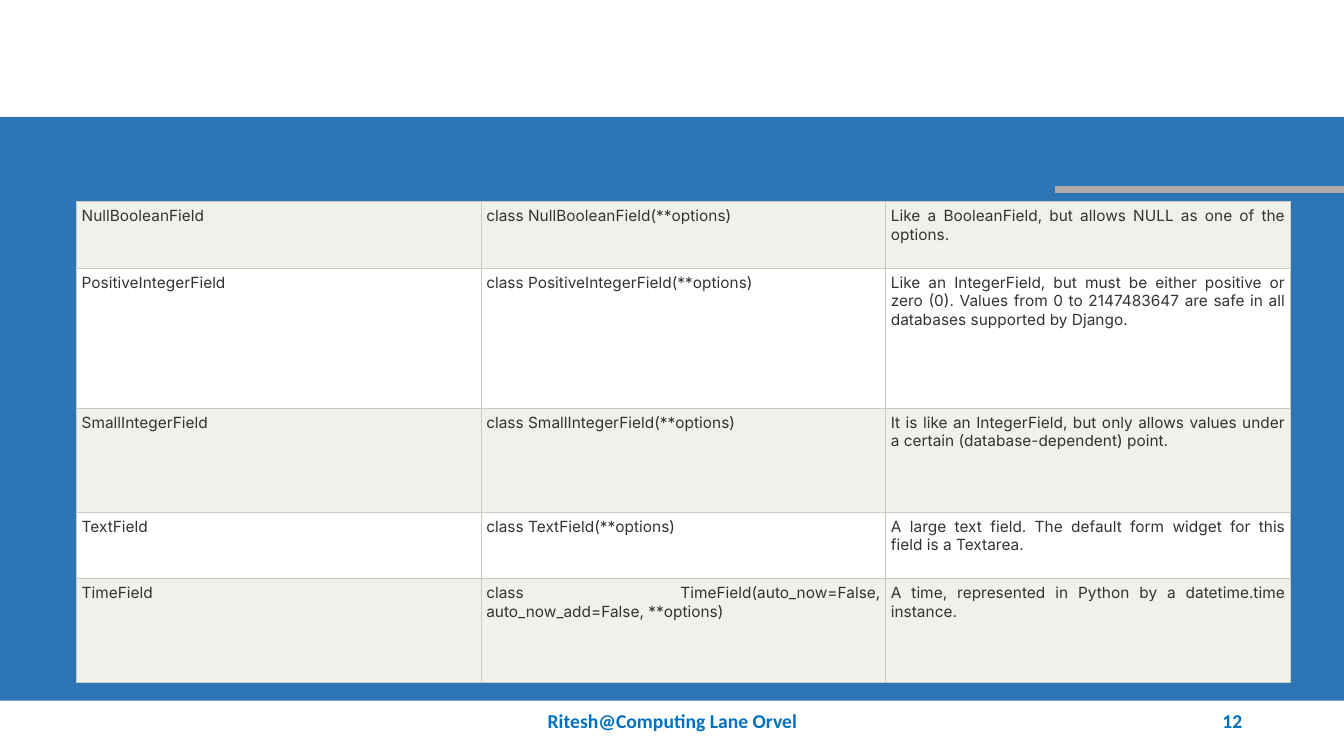
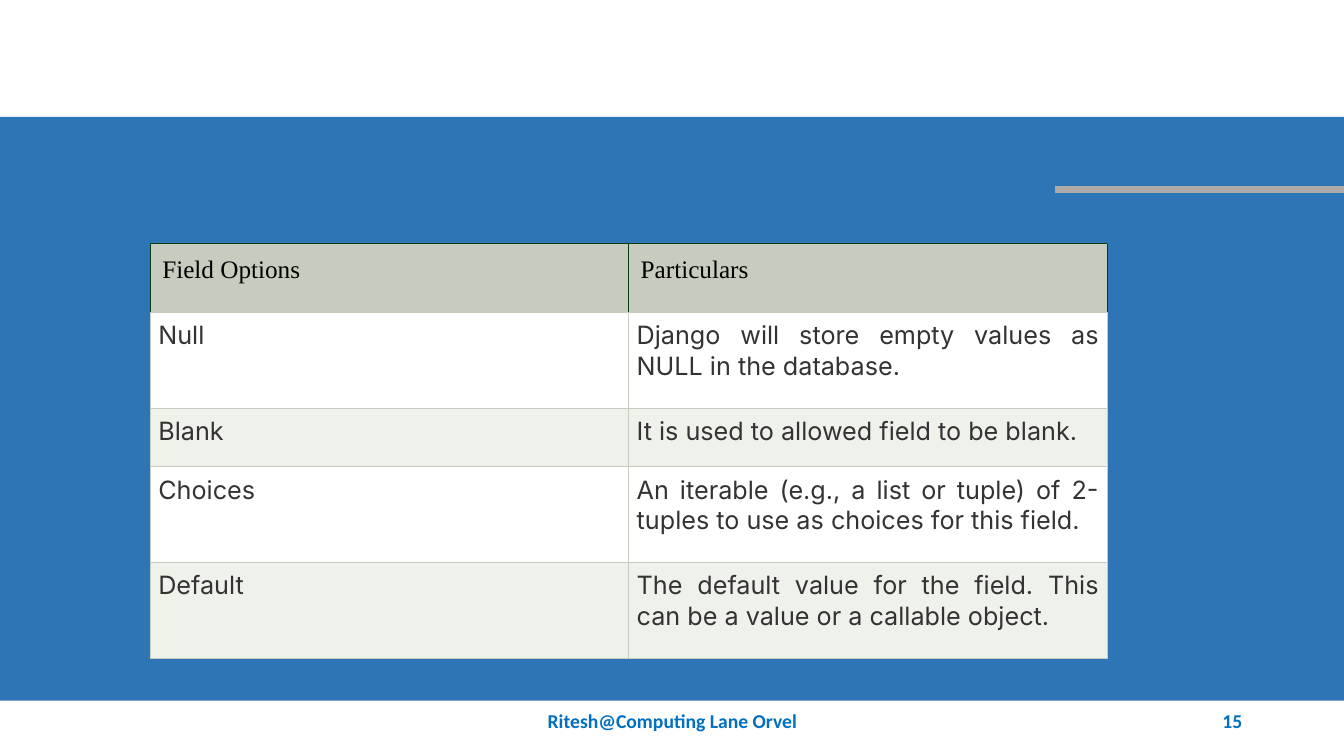
from pptx import Presentation
from pptx.dml.color import RGBColor
from pptx.enum.shapes import MSO_CONNECTOR, MSO_SHAPE
from pptx.enum.text import MSO_ANCHOR, PP_ALIGN
from pptx.oxml.ns import qn
from pptx.util import Inches, Pt
from lxml import etree

STRAIGHT = MSO_CONNECTOR.STRAIGHT
RECTANGLE = MSO_SHAPE.RECTANGLE
MIDDLE = MSO_ANCHOR.MIDDLE
LEFT, CENTER, RIGHT, JUSTIFY = PP_ALIGN.LEFT, PP_ALIGN.CENTER, PP_ALIGN.RIGHT, PP_ALIGN.JUSTIFY

COLORS = {
    "background": "FFFFFF", "band": "2E75B6", "accent": "AFABAB",
    "footer": "0070C0", "text": "333333", "header_text": "000000",
    "header": "C7CCBE", "border": "C7CCBE", "header_border": "083C0E",
    "plain_row": "FFFFFF", "tinted_row": "EFF1EB",
}
FOOTER = "Ritesh@Computing Lane Orvel"
SLIDE_WIDTH, SLIDE_HEIGHT = 13.33, 7.5
FOOTER_TOP, FOOTER_HEIGHT = 6.95, 0.4

FIELD_TYPES = [
    ("NullBooleanField", "class NullBooleanField(**options)",
     "Like a BooleanField, but allows NULL as one of the options."),
    ("PositiveIntegerField", "class PositiveIntegerField(**options)",
     "Like an IntegerField, but must be either positive or zero (0). "
     "Values from 0 to 2147483647 are safe in all databases supported by Django."),
    ("SmallIntegerField", "class SmallIntegerField(**options)",
     "It is like an IntegerField, but only allows values under a certain "
     "(database-dependent) point."),
    ("TextField", "class TextField(**options)",
     "A large text field. The default form widget for this field is a Textarea."),
    ("TimeField", "class TimeField(auto_now=False, auto_now_add=False, **options)",
     "A time, represented in Python by a datetime.time instance."),
]
FIELD_OPTIONS = [
    ("Field Options", "Particulars"),
    ("Null", "Django will store empty values as NULL in the database."),
    ("Blank", "It is used to allowed field to be blank."),
    ("Choices", "An iterable (e.g., a list or tuple) of 2-tuples to use as choices for this field."),
    ("Default", "The default value for the field. This can be a value or a callable object."),
]


def rgb(name):
    return RGBColor.from_string(COLORS[name])


def write_text(text_frame, text, font_name, size, color, alignment, bold=False):
    text_frame.text = text
    paragraph = text_frame.paragraphs[0]
    paragraph.alignment = alignment
    font = paragraph.runs[0].font
    font.name, font.size, font.bold = font_name, Pt(size), bold
    font.color.rgb = rgb(color)


def decorate_layout(layout, slide):
    """Draw the band and accent line, then hand them to the shared layout."""
    for placeholder in list(layout.placeholders):
        layout.shapes.element.remove(placeholder.element)
    fill = layout.background.fill
    fill.solid()
    fill.fore_color.rgb = rgb("background")

    band = slide.shapes.add_shape(
        RECTANGLE, 0, Inches(1.16), Inches(SLIDE_WIDTH), Inches(5.79))
    band.shadow.inherit = False
    band.fill.solid()
    band.fill.fore_color.rgb = rgb("band")
    band.line.fill.background()

    accent = slide.shapes.add_connector(
        STRAIGHT, Inches(10.46), Inches(1.88), Inches(SLIDE_WIDTH), Inches(1.88))
    accent.line.color.rgb = rgb("accent")
    accent.line.width = Pt(4.5)
    etree.SubElement(accent.element.spPr, qn("a:effectLst"))

    for shape in (band, accent):
        layout.shapes.element.append(shape.element)


def add_footer_text(slide, text, left, width, alignment):
    box = slide.shapes.add_textbox(
        Inches(left), Inches(FOOTER_TOP), Inches(width), Inches(FOOTER_HEIGHT))
    box.text_frame.word_wrap = True
    box.text_frame.vertical_anchor = MIDDLE
    write_text(box.text_frame, text, "Calibri", 14, "footer", alignment, bold=True)


def add_footer(slide, number):
    add_footer_text(slide, FOOTER, 4.42, 4.5, CENTER)
    add_footer_text(slide, str(number), 9.42, 3, RIGHT)


def set_borders(cell, sides, bottom):
    properties = cell._tc.get_or_add_tcPr()
    for tag, color in (("lnL", sides), ("lnR", sides), ("lnT", sides), ("lnB", bottom)):
        line = etree.SubElement(properties, qn(f"a:{tag}"), w=str(Pt(0.75)))
        fill = etree.SubElement(line, qn("a:solidFill"))
        etree.SubElement(fill, qn("a:srgbClr"), val=COLORS[color])


def style_cell(cell, text, size, inset, fill, is_header):
    cell.margin_left = cell.margin_right = Inches(inset)
    cell.margin_top = cell.margin_bottom = Inches(inset)
    set_borders(cell, "header_border" if is_header else "border", "border")
    cell.fill.solid()
    cell.fill.fore_color.rgb = rgb(fill)
    if is_header:
        write_text(cell.text_frame, text, "Times New Roman", size, "header_text", LEFT)
    else:
        write_text(cell.text_frame, text, "Inter", size, "text", JUSTIFY)


def add_field_table(slide, rows, left, top, width, heights, size, inset, has_header=False):
    columns = len(rows[0])
    table = slide.shapes.add_table(
        len(rows), columns, Inches(left), Inches(top),
        Inches(width), Inches(sum(heights))).table
    table.first_row = has_header
    table.horz_banding = False
    for column in table.columns:
        column.width = Inches(width / columns)
    for index, (values, height) in enumerate(zip(rows, heights)):
        table.rows[index].height = Inches(height)
        is_header = has_header and index == 0
        banding = "plain_row" if index % 2 else "tinted_row"
        for column, text in enumerate(values):
            style_cell(table.cell(index, column), text, size,
                       0.12 if is_header else inset,
                       "header" if is_header else banding, is_header)


def main():
    presentation = Presentation()
    presentation.slide_width = Inches(SLIDE_WIDTH)
    presentation.slide_height = Inches(SLIDE_HEIGHT)
    layout = presentation.slide_layouts[6]

    # Field types
    types_slide = presentation.slides.add_slide(layout)
    decorate_layout(layout, types_slide)
    add_field_table(types_slide, FIELD_TYPES, 0.76, 2, 12.04,
                    [0.66, 1.39, 1.03, 0.66, 1.03], size=11, inset=0.05)
    add_footer(types_slide, 12)

    # Field options
    options_slide = presentation.slides.add_slide(layout)
    add_field_table(options_slide, FIELD_OPTIONS, 1.49, 2.42, 9.49,
                    [0.68, 0.95, 0.58, 0.95, 0.95], size=18, inset=0.08, has_header=True)
    add_footer(options_slide, 15)

    presentation.save("out.pptx")


if __name__ == "__main__":
    main()
